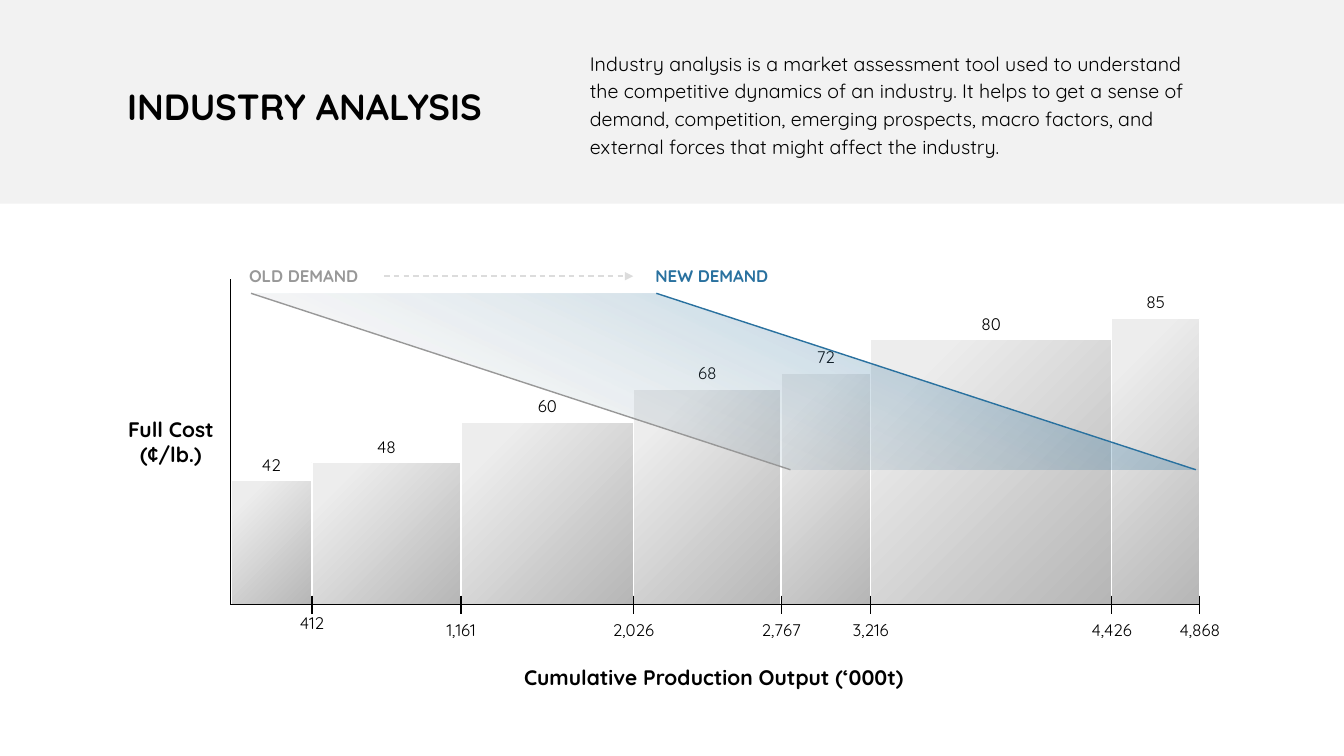
from dataclasses import dataclass
from lxml import etree
from pptx import Presentation
from pptx.dml.color import RGBColor
from pptx.enum.dml import MSO_LINE
from pptx.enum.shapes import MSO_CONNECTOR, MSO_SHAPE
from pptx.enum.text import MSO_ANCHOR, MSO_AUTO_SIZE, PP_ALIGN
from pptx.oxml import parse_xml
from pptx.oxml.ns import qn
from pptx.util import Inches, Pt

STRAIGHT = MSO_CONNECTOR.STRAIGHT
RECTANGLE, PARALLELOGRAM = MSO_SHAPE.RECTANGLE, MSO_SHAPE.PARALLELOGRAM
LEFT, CENTER = PP_ALIGN.LEFT, PP_ALIGN.CENTER
MIDDLE, TOP = MSO_ANCHOR.MIDDLE, MSO_ANCHOR.TOP
DASH = MSO_LINE.DASH
NO_FIT, GROW = MSO_AUTO_SIZE.NONE, MSO_AUTO_SIZE.SHAPE_TO_FIT_TEXT

TITLE = "INDUSTRY ANALYSIS"
SUMMARY = (
    "Industry analysis is a market assessment tool used to understand the "
    "competitive dynamics of an industry. It helps to get a sense of demand, "
    "competition, emerging prospects, macro factors, and external forces that "
    "might affect the industry."
)
COST_AXIS = ["Full Cost ", "(¢/lb.)"]
OUTPUT_AXIS = ["Cumulative Production Output (‘000t)"]
OLD_DEMAND, NEW_DEMAND = "OLD DEMAND", "NEW DEMAND"
# Cumulative output, full cost, bar height, top of the output label
PRODUCERS = [
    (412, 42, 1.23, 6.08),
    (1161, 48, 1.41, 6.15),
    (2026, 60, 1.81, 6.15),
    (2767, 68, 2.14, 6.15),
    (3216, 72, 2.30, 6.15),
    (4426, 80, 2.63, 6.15),
    (4868, 85, 2.84, 6.15),
]

AXIS_LEFT, AXIS_RIGHT, AXIS_TOP, AXIS_BASE = 2.29, 11.9, 2.77, 6.0
DEMAND_LEFT, DEMAND_TOP, DEMAND_WIDTH, DEMAND_HEIGHT = 2.49, 2.91, 9.39, 1.75
DEMAND_SLANT = 3.06
LINE_RUN, DEMAND_SHIFT = 5.35, 4.02


@dataclass(frozen=True)
class Theme:
    font: str = "Quicksand"
    ink: str = "000000"
    paper: str = "FFFFFF"
    band: str = "F2F2F2"
    bar_light: str = "EDEDED"
    bar_dark: str = "B6B6B6"
    old: str = "989898"
    new: str = "29719F"
    arrow: str = "DCDCDC"
    title_size: int = 26
    body_size: int = 14
    axis_size: int = 15
    label_size: int = 12


THEME = Theme()


def rgb(code):
    return RGBColor.from_string(code)


def place(shape, left, top, width, height):
    shape.left, shape.top = Inches(left), Inches(top)
    shape.width, shape.height = Inches(width), Inches(height)


def write(box, lines, size, color=THEME.ink, bold=False, align=LEFT,
          anchor=TOP, insets=(0.1, 0.05), wrap=True, fit=GROW):
    frame = box.text_frame
    frame.word_wrap, frame.auto_size, frame.vertical_anchor = wrap, fit, anchor
    frame.margin_left = frame.margin_right = Inches(insets[0])
    frame.margin_top = frame.margin_bottom = Inches(insets[1])
    frame.text = "\n".join(lines)
    for para in frame.paragraphs:
        para.alignment = align
        para.space_before = Pt(0)
        for span in para.runs:
            font = span.font
            font.name, font.size, font.bold = THEME.font, Pt(size), bold
            font.color.rgb = rgb(color)


def add_text(page, bounds, lines, size, **style):
    box = page.shapes.add_textbox(*map(Inches, bounds))
    write(box, lines, size, **style)


def add_block(page, kind, left, top, width, height):
    shape = page.shapes.add_shape(kind, *map(Inches, (left, top, width, height)))
    shape.shadow.inherit = False
    shape.line.fill.background()
    return shape


def add_line(page, start, end, color, weight):
    line = page.shapes.add_connector(STRAIGHT, *map(Inches, (*start, *end)))
    line.line.color.rgb = rgb(color)
    line.line.width = Pt(weight)
    etree.SubElement(line._element.spPr, qn("a:effectLst"))
    return line


def set_gradient(shape, stops, direction):
    """Fill with (position %, colour, opacity %) stops and a direction element."""
    marks = "".join(
        f'<a:gs pos="{pos * 1000}"><a:srgbClr val="{color}">'
        f'<a:alpha val="{opacity * 1000}"/></a:srgbClr></a:gs>'
        for pos, color, opacity in stops
    )
    gradient = parse_xml(
        '<a:gradFill xmlns:a="http://schemas.openxmlformats.org/drawingml/2006/main"'
        f' rotWithShape="1"><a:gsLst>{marks}</a:gsLst>{direction}</a:gradFill>'
    )
    shape._element.spPr.find(qn("a:prstGeom")).addnext(gradient)


def add_header(page):
    title, summary = page.shapes.title, page.placeholders[1]
    band = add_block(page, RECTANGLE, 0, 0, 13.33, 2.02)
    band.fill.solid()
    band.fill.fore_color.rgb = rgb(THEME.band)
    title._element.addprevious(band._element)

    place(title, 1.16, 0.73, 3.98, 0.58)
    write(title, [TITLE], THEME.title_size, bold=True, anchor=MIDDLE, fit=NO_FIT)
    title.text_frame.paragraphs[0].line_spacing = Pt(35)

    place(summary, 5.69, 0.4, 6.34, 1.24)
    write(summary, [SUMMARY], THEME.body_size, anchor=MIDDLE,
          insets=(0.16, 0.16), fit=NO_FIT)
    para = summary.text_frame.paragraphs[0]
    para.line_spacing, para.space_after = Pt(19.8), Pt(10)
    props = para._p.get_or_add_pPr()
    props.set("marL", "0")
    props.set("indent", "0")
    etree.SubElement(props, qn("a:buNone"))


def output_x(output):
    return 2.28 + 9.62 * output / PRODUCERS[-1][0]


def add_bars(page):
    left = AXIS_LEFT
    for output, cost, height, label_top in PRODUCERS:
        right, top = output_x(output), AXIS_BASE - height
        bar = add_block(page, RECTANGLE, left, top, right - left, height)
        set_gradient(
            bar,
            [(15, THEME.bar_light, 100), (100, THEME.bar_dark, 100)],
            '<a:path path="circle"><a:fillToRect r="100000" b="100000"/></a:path>',
        )
        bar.line.color.rgb = rgb(THEME.paper)
        bar.line.width = Pt(1)
        add_text(page, (right - 0.31, label_top, 0.62, 0.2), [f"{output:,}"],
                 THEME.label_size, align=CENTER, insets=(0.1, 0), wrap=False)
        add_text(page, ((left + right) / 2 - 0.39, top - 0.31, 0.78, 0.3),
                 [str(cost)], THEME.label_size, align=CENTER)
        left = right


def add_axes(page):
    corner = (AXIS_LEFT, AXIS_BASE)
    add_line(page, corner, (AXIS_RIGHT, AXIS_BASE), THEME.ink, 0.75)
    add_line(page, corner, (AXIS_LEFT, AXIS_TOP), THEME.ink, 0.75)
    for output, *_ in PRODUCERS:
        x = output_x(output)
        add_line(page, (x, AXIS_BASE - 0.09), (x, AXIS_BASE + 0.09), THEME.ink, 1)
    for bounds, lines in (((5.04, 6.54, 4.08, 0.35), OUTPUT_AXIS),
                          ((1.17, 4.08, 1.05, 0.6), COST_AXIS)):
        add_text(page, bounds, lines, THEME.axis_size, bold=True, align=CENTER)


def add_demand(page):
    area = add_block(page, PARALLELOGRAM, DEMAND_LEFT, DEMAND_TOP,
                     DEMAND_WIDTH, DEMAND_HEIGHT)
    area.adjustments[0] = DEMAND_SLANT
    area._element.spPr.find(qn("a:xfrm")).set("flipH", "1")
    set_gradient(area, [(32, THEME.new, 25), (84, THEME.old, 2)],
                 f'<a:lin ang="{65 * 60000}" scaled="0"/>')
    for x, color in ((DEMAND_LEFT + DEMAND_SHIFT, THEME.new), (DEMAND_LEFT, THEME.old)):
        add_line(page, (x, DEMAND_TOP),
                 (x + LINE_RUN, DEMAND_TOP + DEMAND_HEIGHT), color, 1)
    for x, name, color in ((2.39, OLD_DEMAND, THEME.old), (6.42, NEW_DEMAND, THEME.new)):
        add_text(page, (x, 2.56, 1.9, 0.36), [name], THEME.label_size,
                 color=color, bold=True, insets=(0.08, 0.08))
    arrow = add_line(page, (3.81, 2.74), (6.28, 2.74), THEME.arrow, 1)
    arrow.line.dash_style = DASH
    etree.SubElement(arrow.line._get_or_add_ln(), qn("a:tailEnd"), type="triangle")


def main():
    deck = Presentation()
    deck.slide_width, deck.slide_height = Inches(13.33), Inches(7.5)
    page = deck.slides.add_slide(deck.slide_layouts[1])
    add_header(page)
    add_bars(page)
    add_axes(page)
    add_demand(page)
    deck.save("out.pptx")


if __name__ == "__main__":
    main()
